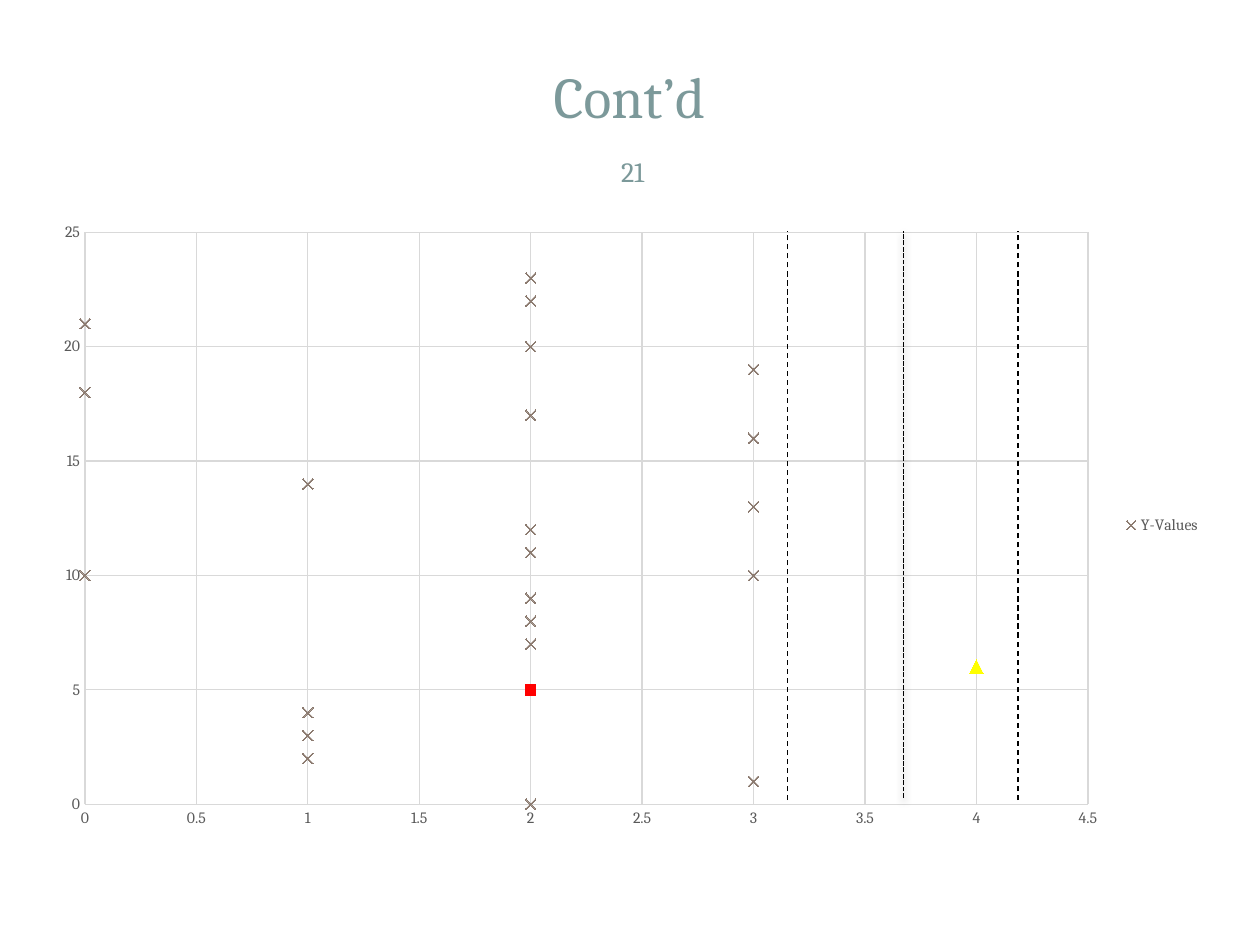
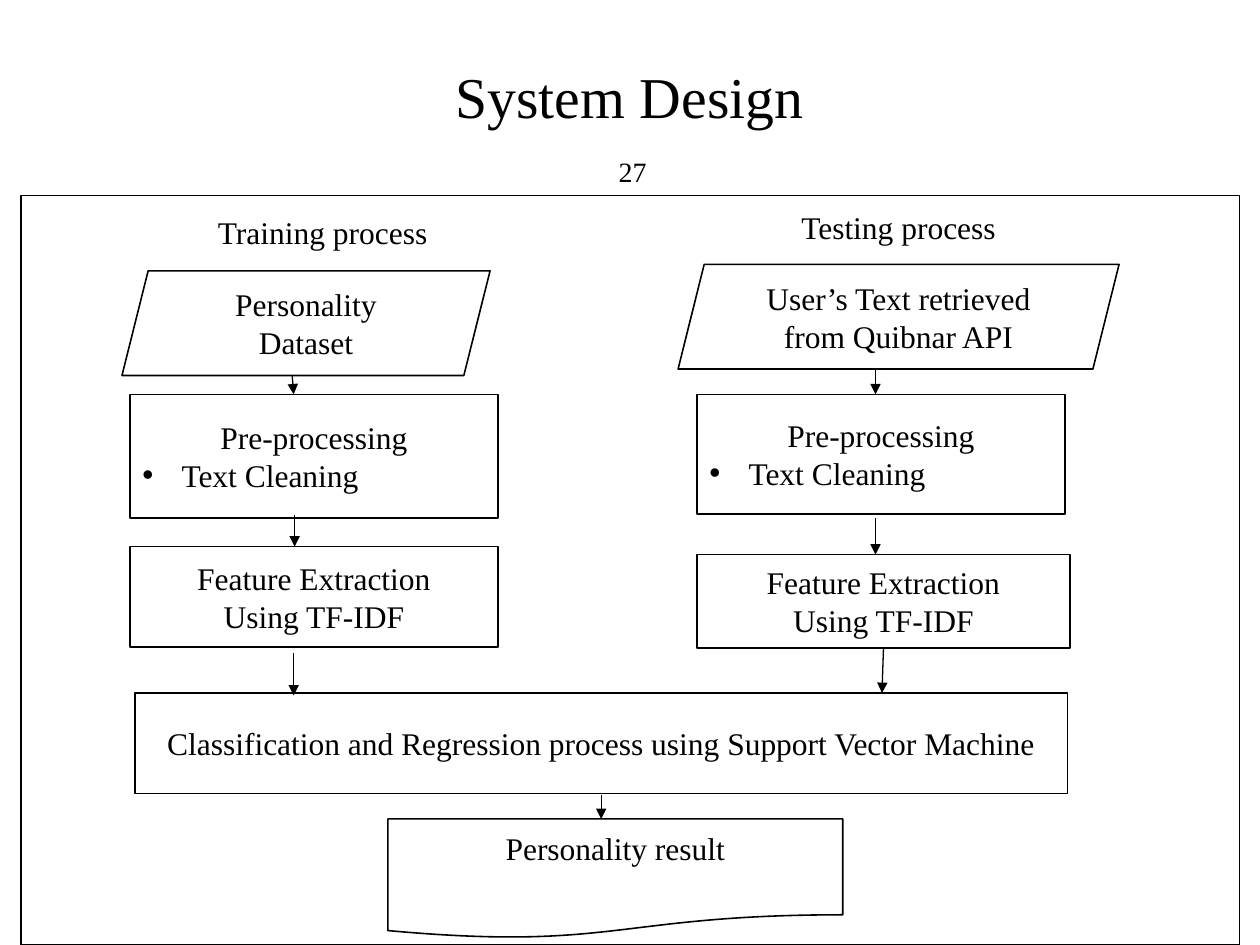
import lxml.etree
import pptx
import pptx.chart.data
import pptx.dml.color
import pptx.enum.chart
import pptx.enum.dml
import pptx.enum.shapes
import pptx.enum.text
import pptx.oxml.ns
import pptx.util

Cm = pptx.util.Cm
Pt = pptx.util.Pt
RGBColor = pptx.dml.color.RGBColor
qn = pptx.oxml.ns.qn
Preset = pptx.enum.shapes.MSO_SHAPE
Anchor = pptx.enum.text.MSO_ANCHOR
Align = pptx.enum.text.PP_ALIGN
Dash = pptx.enum.dml.MSO_LINE
Marker = pptx.enum.chart.XL_MARKER_STYLE

BLACK = RGBColor(0x00, 0x00, 0x00)
WHITE = RGBColor(0xFF, 0xFF, 0xFF)
TEAL = RGBColor(0x7C, 0x99, 0x9A)
BROWN = RGBColor(0x8C, 0x7B, 0x70)
RED = RGBColor(0xFF, 0x00, 0x00)
YELLOW = RGBColor(0xFF, 0xFF, 0x00)
GRID_GREY = RGBColor(0xD9, 0xD9, 0xD9)
LABEL_GREY = RGBColor(0x59, 0x59, 0x59)

SERIF = "Times New Roman"
CAMBRIA = "Cambria"

# y values observed at each x value
READINGS = {
    0: [10, 18, 21],
    1: [2, 3, 4, 14],
    2: [17, 22, 9, 11, 0, 12, 20, 7, 5, 23, 8],
    3: [10, 1, 19, 13, 16],
    4: [6],
}
HIGHLIGHTS = {(2, 5): (Marker.SQUARE, 6, RED), (4, 6): (Marker.TRIANGLE, 8, YELLOW)}

PREPROCESSING = ["Pre-processing", "\u2022Text Cleaning"]
EXTRACTION = ["Feature Extraction", "Using TF-IDF"]

# preset, (left, top, width, height) in cm, lines of text
STEPS = [
    (Preset.PARALLELOGRAM, (2.46, 5.46, 7.42, 2.11), ["Personality", "Dataset"]),
    (Preset.PARALLELOGRAM, (13.67, 5.33, 8.89, 2.11),
     ["User\u2019s Text retrieved from Quibnar API"]),
    (Preset.RECTANGLE, (2.62, 7.95, 7.42, 2.49), PREPROCESSING),
    (Preset.RECTANGLE, (14.05, 7.95, 7.42, 2.41), PREPROCESSING),
    (Preset.RECTANGLE, (2.62, 11.02, 7.42, 2.03), EXTRACTION),
    (Preset.RECTANGLE, (14.05, 11.18, 7.52, 1.88), EXTRACTION),
    (Preset.RECTANGLE, (2.72, 13.97, 18.8, 2.03),
     ["Classification and Regression process using Support Vector Machine"]),
]
# from x, from y, to x, to y in cm
FLOW_ARROWS = [
    (5.89, 7.57, 5.92, 7.95),
    (17.65, 7.44, 17.65, 7.95),
    (5.94, 10.39, 5.94, 11.02),
    (17.65, 10.44, 17.65, 11.18),
    (5.92, 13.16, 5.92, 14.02),
    (17.81, 13.06, 17.78, 13.97),
    (12.12, 16.03, 12.12, 16.51),
]


def style_font(font, name, size, color):
    """Set typeface, size in points and colour."""
    font.name = name
    font.size = Pt(size)
    font.color.rgb = color


def make_bullet(paragraph):
    """Turn a paragraph into a left-aligned bullet with a hanging indent."""
    paragraph.alignment = Align.LEFT
    properties = paragraph._p.get_or_add_pPr()
    properties.set("marL", str(Cm(0.79)))
    properties.set("indent", str(-Cm(0.79)))
    bullet_font = lxml.etree.Element(qn("a:buFont"), typeface="Arial")
    bullet_char = lxml.etree.Element(qn("a:buChar"), char="\u2022")
    properties.insert(0, bullet_font)
    properties.insert(1, bullet_char)


def write_lines(frame, lines, name, size, color):
    """Write centred paragraphs; a leading bullet sign marks a list item."""
    frame.word_wrap = True
    for number, line in enumerate(lines):
        paragraph = frame.paragraphs[0] if number == 0 else frame.add_paragraph()
        paragraph.text = line.lstrip("\u2022")
        paragraph.alignment = Align.CENTER
        style_font(paragraph.font, name, size, color)
        if line.startswith("\u2022"):
            make_bullet(paragraph)


def add_heading(slide, title, number, font_name, color):
    """Add the title and the slide number below it."""
    title_box = slide.shapes.add_textbox(Cm(0.84), Cm(0.64), Cm(23.7), Cm(2.11))
    title_box.text_frame.vertical_anchor = Anchor.BOTTOM
    write_lines(title_box.text_frame, [title], font_name, 33, color)

    number_box = slide.shapes.add_textbox(Cm(12.12), Cm(2.84), Cm(1.27), Cm(1.22))
    frame = number_box.text_frame
    frame.vertical_anchor = Anchor.MIDDLE
    frame.margin_left = frame.margin_right = Cm(0.13)
    frame.margin_top = frame.margin_bottom = Cm(0.13)
    write_lines(frame, [number], font_name, 16, color)


def add_box(slide, preset, place, lines=(), outline=BLACK):
    """Add a white outlined shape holding centred text."""
    box = slide.shapes.add_shape(preset, *[Cm(length) for length in place])
    box.shadow.inherit = False
    box.fill.solid()
    box.fill.fore_color.rgb = WHITE
    box.line.color.rgb = outline
    box.line.width = Pt(0.9)
    box.text_frame.vertical_anchor = Anchor.MIDDLE
    write_lines(box.text_frame, lines, SERIF, 18, BLACK)
    return box


def add_line(slide, ends, width=0.75, dash=None, arrow=False):
    """Add a black straight line and return its effect list."""
    line = slide.shapes.add_connector(
        pptx.enum.shapes.MSO_CONNECTOR.STRAIGHT, *[Cm(length) for length in ends])
    line.line.color.rgb = BLACK
    line.line.width = Pt(width)
    if dash is not None:
        line.line.dash_style = dash
    if arrow:
        lxml.etree.SubElement(line.line._get_or_add_ln(), qn("a:tailEnd"), type="triangle")
    return lxml.etree.SubElement(line._element.spPr, qn("a:effectLst"))


def add_soft_shadow(effects):
    """Put a faint shadow straight below a line."""
    shadow = lxml.etree.SubElement(
        effects, qn("a:outerShdw"), blurRad=str(Pt(4)), dist=str(Pt(2)),
        dir="5400000", rotWithShape="0")
    color = lxml.etree.SubElement(shadow, qn("a:srgbClr"), val=str(BLACK))
    lxml.etree.SubElement(color, qn("a:alpha"), val="35000")


def style_axis(axis, maximum, step):
    """Give an axis its scale, grey grid and labels."""
    axis.minimum_scale = 0
    axis.maximum_scale = maximum
    axis.major_unit = step
    axis.major_tick_mark = pptx.enum.chart.XL_TICK_MARK.NONE
    axis.minor_tick_mark = pptx.enum.chart.XL_TICK_MARK.NONE
    axis.has_major_gridlines = True
    for line in (axis.format.line, axis.major_gridlines.format.line):
        line.color.rgb = GRID_GREY
        line.width = Pt(0.75)
    axis.tick_labels.number_format = "General"
    axis.tick_labels.number_format_is_linked = False
    style_font(axis.tick_labels.font, CAMBRIA, 9, LABEL_GREY)


def style_marker(marker, style, size, color, filled=True):
    """Set the form, size and colour of a marker."""
    marker.style = style
    marker.size = size
    if filled:
        marker.format.fill.solid()
        marker.format.fill.fore_color.rgb = color
    else:
        marker.format.fill.background()
    marker.format.line.color.rgb = color
    marker.format.line.width = Pt(0.75)


def fix_plot_area(chart, **fractions):
    """Pin the inner plot area to fractions of the chart."""
    plot_area = chart._chartSpace.chart.plotArea
    for old_layout in plot_area.findall(qn("c:layout")):
        plot_area.remove(old_layout)
    layout = lxml.etree.Element(qn("c:layout"))
    plot_area.insert(0, layout)
    manual = lxml.etree.SubElement(layout, qn("c:manualLayout"))
    settings = {"layoutTarget": "inner", "xMode": "edge", "yMode": "edge", **fractions}
    for tag, value in settings.items():
        lxml.etree.SubElement(manual, qn("c:" + tag), val=str(value))


def add_scatter(slide):
    """Add the scatter chart with its two highlighted points."""
    readings = [(x, y) for x, values in READINGS.items() for y in values]
    data = pptx.chart.data.XyChartData()
    y_values = data.add_series("Y-Values")
    for x, y in readings:
        y_values.add_data_point(x, y)
    chart = slide.shapes.add_chart(
        pptx.enum.chart.XL_CHART_TYPE.XY_SCATTER,
        Cm(0.84), Cm(4.24), Cm(23.62), Cm(12.7), data).chart
    style_font(chart.font, CAMBRIA, 10, BLACK)
    chart.has_title = False
    chart.has_legend = True
    chart.legend.position = pptx.enum.chart.XL_LEGEND_POSITION.RIGHT
    chart.legend.include_in_layout = False
    style_font(chart.legend.font, CAMBRIA, 9, LABEL_GREY)
    style_axis(chart.category_axis, 4.5, 0.5)
    style_axis(chart.value_axis, 25, 5)
    fix_plot_area(chart, x=0.037, y=0.035, w=0.856, h=0.908)

    chart.plots[0].vary_by_categories = False
    series = chart.plots[0].series[0]
    series.format.line.fill.background()
    style_marker(series.marker, Marker.X, 6, BROWN, filled=False)
    for reading, (style, size, color) in HIGHLIGHTS.items():
        point = series.points[readings.index(reading)]
        style_marker(point.marker, style, size, color)


def build_scatter_slide(slide):
    """Build the chart slide with its boundary and margin lines."""
    add_heading(slide, "Cont\u2019d", "21", CAMBRIA, TEAL)
    add_scatter(slide)
    boundary = add_line(slide, (18.21, 16.08, 18.21, 4.65), 0.9, Dash.SQUARE_DOT)
    add_soft_shadow(boundary)
    for x in (15.88, 20.52):
        add_line(slide, (x, 16.13, x, 4.65), dash=Dash.DASH)


def build_design_slide(slide):
    """Build the flow chart of the training and testing processes."""
    add_box(slide, Preset.RECTANGLE, (0.43, 3.94, 24.56, 15.11))
    add_heading(slide, "System Design", "27", SERIF, BLACK)
    for label, left, top in (("Training process", 2.72, 4.14),
                             ("Testing process", 14.33, 4.04)):
        add_box(slide, Preset.RECTANGLE, (left, top, 7.57, 1.09), [label], WHITE)
    for preset, place, lines in STEPS:
        add_box(slide, preset, place, lines)
    outcome = add_box(slide, Preset.FLOWCHART_DOCUMENT, (7.82, 16.51, 9.17, 2.41),
                      ["Personality result"])
    outcome.text_frame.vertical_anchor = Anchor.TOP
    outcome.text_frame.margin_top = Cm(0.21)
    for ends in FLOW_ARROWS:
        add_line(slide, ends, arrow=True)


def main():
    """Build and save the presentation."""
    presentation = pptx.Presentation()
    presentation.slide_width = Cm(25.4)
    presentation.slide_height = Cm(19.05)
    blank = presentation.slide_layouts[6]
    for build in (build_scatter_slide, build_design_slide):
        build(presentation.slides.add_slide(blank))
    presentation.save("out.pptx")


main()
